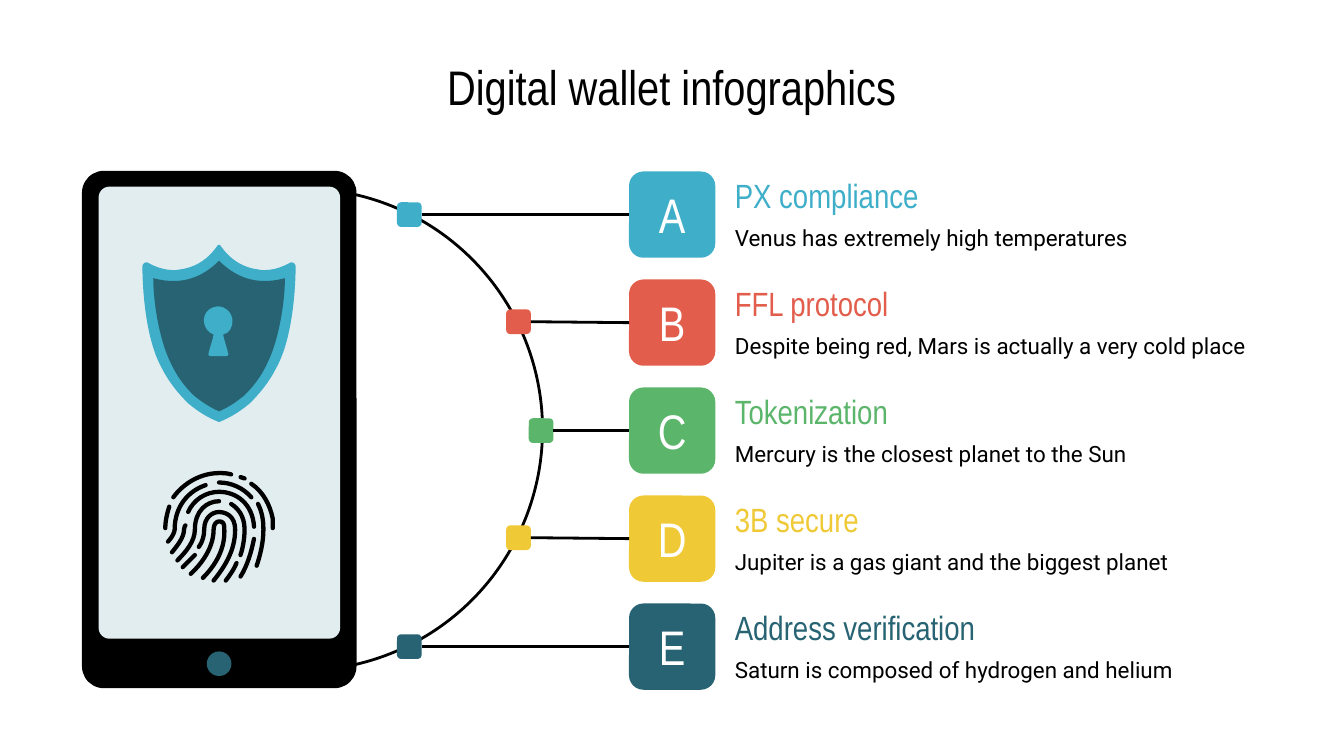
from lxml.etree import SubElement
from pptx import Presentation
from pptx.dml.color import RGBColor
from pptx.enum.shapes import MSO_CONNECTOR, MSO_SHAPE
from pptx.enum.text import MSO_ANCHOR, PP_ALIGN
from pptx.oxml.ns import qn
from pptx.util import Pt

BLACK, WHITE, SCREEN = "000000", "FFFFFF", "E2EDF0"
BLUE, RED, GREEN, YELLOW, TEAL = "3EAEC9", "E25D4B", "5BB56A", "F0C936", "276372"
HEAD_FONT, BODY_FONT = "Arial Narrow", "Roboto"

# letter, heading, description, colour, node left, node shift from the row centre
ROWS = [
    ("A", "PX compliance", "Venus has extremely high temperatures", BLUE, 212.7, 0),
    ("B", "FFL protocol", "Despite being red, Mars is actually a very cold place", RED, 271.2, -0.5),
    ("C", "Tokenization", "Mercury is the closest planet to the Sun", GREEN, 283.3, 0),
    ("D", "3B secure", "Jupiter is a gas giant and the biggest planet", YELLOW, 271.2, -0.5),
    ("E", "Address verification", "Saturn is composed of hydrogen and helium", TEAL, 212.7, 0),
]
FIRST_ROW, ROW_PITCH = 115, 57.86
TILE, NODE = 46.2, 13.2

# Icon outlines: a start point, then three points per Bezier curve, in ICON_UNIT
ICON_UNIT = Pt(0.72)
AXIS = 163
SHIELD_HALF = [
    (163, 182), (162, 182), (162, 183), (161, 184), (158, 188), (151, 197), (137, 200),
    (135, 200), (133, 201), (130, 201), (121, 201), (115, 198), (111, 196),
    (109, 194), (106, 196), (106, 198), (106, 213), (108, 251), (120, 273),
    (126, 285), (133, 293), (140, 300), (147, 306), (155, 311), (163, 314),
]
SHIELD_CORE_HALF = [
    (163, 194), (156, 201), (148, 206), (139, 208), (130, 210), (122, 209), (114, 207),
    (114, 223), (118, 252), (127, 270), (132, 281), (138, 288), (144, 294),
    (150, 299), (156, 303), (163, 306),
]
KEYHOLE = [
    (162, 228), (160, 228), (158, 229), (156, 230), (149, 235), (151, 246), (159, 249),
    (158, 254), (156, 259), (155, 264), (155, 264), (155, 265), (156, 265),
    (160, 265), (165, 265), (169, 265), (170, 265), (170, 264), (170, 264),
    (169, 259), (167, 254), (166, 249), (171, 248), (173, 243), (173, 239),
    (173, 233), (168, 228), (162, 228),
]
FINGERPRINT = [
    [(123, 393), (123, 389), (124, 383), (126, 377)],
    [(203, 393), (203, 391), (203, 389), (203, 386), (201, 376), (196, 366), (187, 360)],
    [(179, 355), (180, 355), (181, 356), (182, 356)],
    [(129, 370), (137, 359), (150, 352), (163, 352), (166, 352), (169, 352), (172, 353)],
    [(153, 361), (141, 365), (130, 376), (130, 394), (130, 396), (128, 400), (125, 403)],
    [(192, 375), (195, 381), (196, 387), (196, 394), (196, 403), (194, 412), (191, 421)],
    [(163, 359), (172, 359), (181, 363), (187, 370)],
    [(138, 391), (138, 391), (137, 392), (137, 394), (137, 400), (132, 406), (128, 411)],
    [(189, 401), (187, 411), (184, 421), (179, 429)],
    [(140, 381), (144, 372), (153, 366), (163, 366), (176, 366), (188, 375), (189, 392)],
    [(172, 375), (177, 378), (182, 384), (182, 394), (182, 400), (181, 407), (179, 413)],
    [(163, 373), (154, 373), (145, 380), (145, 394), (145, 403), (138, 411), (132, 417)],
    [(176, 419), (174, 424), (171, 428), (168, 432)],
    [(145, 413), (142, 416), (139, 419), (136, 422)],
    [(159, 432), (167, 422), (175, 410), (175, 394), (175, 384), (168, 381), (163, 381),
     (158, 381), (152, 385), (152, 394), (152, 398), (151, 403), (148, 407)],
    [(151, 430), (168, 413), (167, 398), (167, 394), (167, 389), (166, 388), (163, 388),
     (161, 388), (159, 390), (159, 394), (159, 397), (159, 411), (142, 427)],
]


def color(value):
    return RGBColor.from_string(value)


def paint(sp, fill=None, line=None, width=1.5):
    sp.shadow.inherit = False
    if fill:
        sp.fill.solid()
        sp.fill.fore_color.rgb = color(fill)
    else:
        sp.fill.background()
    if line:
        sp.line.color.rgb = color(line)
        sp.line.width = Pt(width)
    else:
        sp.line.fill.background()


def write(sp, text, size, font=HEAD_FONT, fill=BLACK, align=PP_ALIGN.LEFT, side=7.2, bottom=7.2):
    tf = sp.text_frame
    tf.word_wrap = True
    tf.vertical_anchor = MSO_ANCHOR.MIDDLE
    tf.margin_left = tf.margin_right = Pt(side)
    tf.margin_top, tf.margin_bottom = Pt(7.2), Pt(bottom)
    p = tf.paragraphs[0]
    p.alignment = align
    r = p.add_run()
    r.text = text
    r.font.size = Pt(size)
    r.font.name = font
    r.font.color.rgb = color(fill)


def add_shape(slide, kind, box, fill=None, line=None, adjust=()):
    sp = slide.shapes.add_shape(kind, *map(Pt, box))
    for i, value in enumerate(adjust):
        sp.adjustments[i] = value
    paint(sp, fill, line)
    return sp


def add_label(slide, box, text, size, **style):
    write(slide.shapes.add_textbox(*map(Pt, box)), text, size, **style)


def add_link(slide, start, end):
    """Join the right side of one shape to the left side of another."""
    line = slide.shapes.add_connector(MSO_CONNECTOR.STRAIGHT, 0, 0, 0, 0)
    line.begin_connect(start, 3)
    line.end_connect(end, 1)
    line.line.color.rgb = color(BLACK)
    line.line.width = Pt(1.5)
    SubElement(line._element.spPr, qn("a:effectLst"))


def bend(sp):
    """Turn each three line segments of a freeform into one Bezier curve."""
    segments = list(sp._element.iter(qn("a:lnTo")))
    for i in range(0, len(segments), 3):
        first, *others = segments[i:i + 3]
        first.tag = qn("a:cubicBezTo")
        for segment in others:
            first.append(segment[0])
            segment.getparent().remove(segment)


def mirrored(half):
    return half + [(2 * AXIS - x, y) for x, y in half[-2::-1]]


def add_curve(slide, points, fill=None, line=None):
    builder = slide.shapes.build_freeform(*points[0], scale=ICON_UNIT)
    builder.add_line_segments(points[1:], close=bool(fill))
    sp = builder.convert_to_shape()
    bend(sp)
    paint(sp, fill, line, 2.31)
    if line:
        sp.line._get_or_add_ln().set("cap", "rnd")


def add_phone(slide):
    add_shape(slide, MSO_SHAPE.ARC, (32.4, 101, 258.3, 258.3), line=BLACK, adjust=(162, 53.87))
    add_shape(slide, MSO_SHAPE.ROUNDED_RECTANGLE, (43.9, 91.5, 147.1, 277.2), BLACK, adjust=(0.08,))
    add_shape(slide, MSO_SHAPE.ROUNDED_RECTANGLE, (52.8, 100, 129.4, 242.2), SCREEN, adjust=(0.045,))
    for ridge in FINGERPRINT:
        add_curve(slide, ridge, line=BLACK)
    add_curve(slide, mirrored(SHIELD_HALF), fill=BLUE)
    add_curve(slide, mirrored(SHIELD_CORE_HALF), fill=TEAL)
    add_curve(slide, KEYHOLE, fill=BLUE)
    add_shape(slide, MSO_SHAPE.OVAL, (110.8, 349, 13.2, 13.2), TEAL)


def add_row(slide, middle, letter, heading, description, fill, node_left, shift):
    add_label(slide, (386.6, middle - 23.8, 298, 26.6), heading, 18, fill=fill)
    add_label(slide, (386.6, middle + 2.6, 298, 19.4), description, 12, font=BODY_FONT)
    tile = add_shape(slide, MSO_SHAPE.ROUNDED_RECTANGLE,
                     (337, middle - TILE / 2, TILE, TILE), fill)
    write(tile, letter, 26, fill=WHITE, align=PP_ALIGN.CENTER, side=0, bottom=7.9)
    node = add_shape(slide, MSO_SHAPE.ROUNDED_RECTANGLE,
                     (node_left, middle + shift - NODE / 2, NODE, NODE), fill)
    add_link(slide, node, tile)


def main():
    prs = Presentation()
    prs.slide_width, prs.slide_height = Pt(720), Pt(405)
    slide = prs.slides.add_slide(prs.slide_layouts[5])
    title = slide.shapes.title
    title.left, title.top, title.width, title.height = map(Pt, (32.4, 23.4, 655.2, 45.4))
    write(title, "Digital wallet infographics", 26, align=PP_ALIGN.CENTER)
    add_phone(slide)
    for i, row in enumerate(ROWS):
        add_row(slide, FIRST_ROW + i * ROW_PITCH, *row)
    prs.save("out.pptx")


if __name__ == "__main__":
    main()
